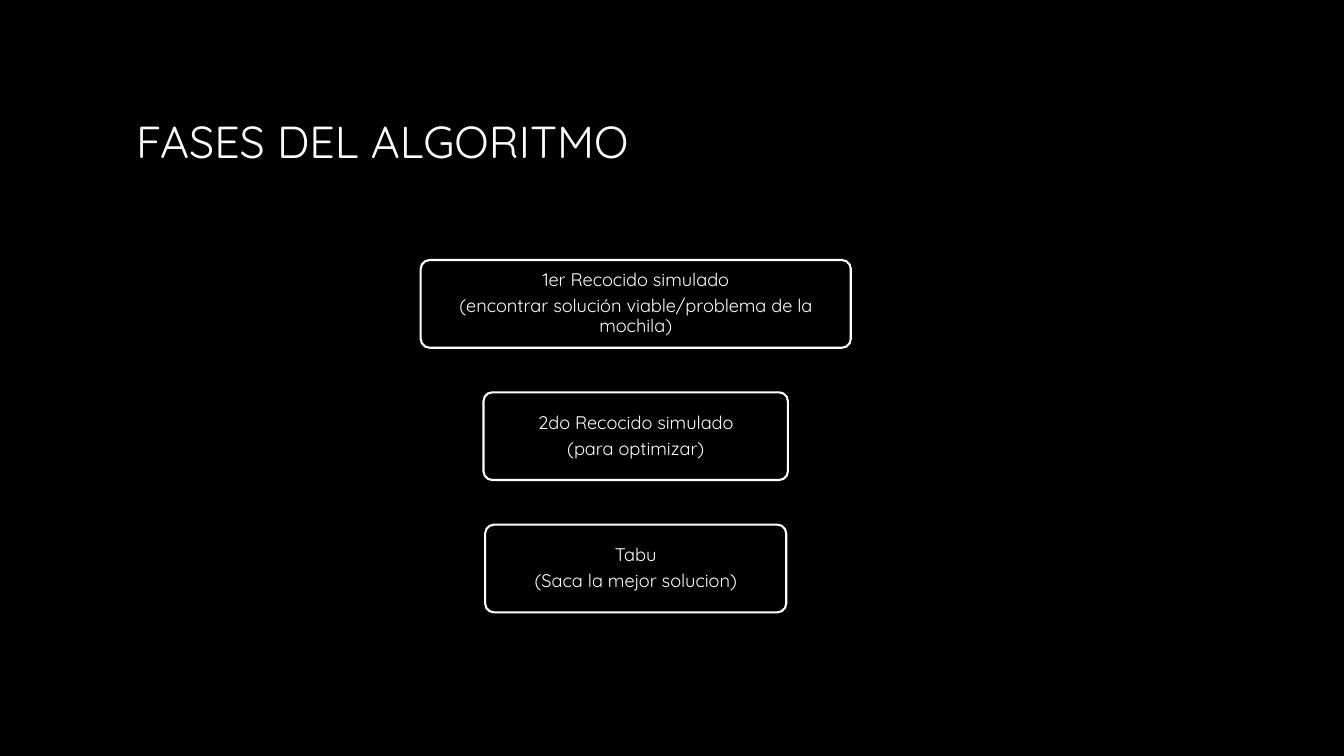
import dataclasses

import pptx
import pptx.dml.color
import pptx.enum.shapes
import pptx.enum.text
import pptx.slide
import pptx.text.text
import pptx.util

BLACK = pptx.dml.color.RGBColor(0x00, 0x00, 0x00)
WHITE = pptx.dml.color.RGBColor(0xFF, 0xFF, 0xFF)
FONT = "Quicksand"

SLIDE_WIDTH = pptx.util.Inches(13.33)
SLIDE_HEIGHT = pptx.util.Inches(7.5)

# Percentages of the slide's width or height
PHASE_CENTER = 47.3
PHASE_TOP = 34.4
PHASE_HEIGHT = 11.6
PHASE_PITCH = 17.5

PHASE_INSET = pptx.util.Inches(0.07)
PHASE_FRAME = {
    "word_wrap": True,
    "vertical_anchor": pptx.enum.text.MSO_ANCHOR.MIDDLE,
    "margin_left": PHASE_INSET,
    "margin_right": PHASE_INSET,
    "margin_top": PHASE_INSET,
    "margin_bottom": PHASE_INSET,
}
PHASE_PARAGRAPH = {
    "alignment": pptx.enum.text.PP_ALIGN.CENTER,
    "line_spacing": 0.9,
    "space_after": pptx.util.Pt(4.55),
}
TITLE_FRAME = {
    "word_wrap": True,
    "auto_size": pptx.enum.text.MSO_AUTO_SIZE.NONE,
    "vertical_anchor": pptx.enum.text.MSO_ANCHOR.MIDDLE,
}


@dataclasses.dataclass(frozen=True)
class Phase:
    name: str
    purpose: str
    width: float


PHASES = (
    Phase("1er Recocido simulado",
          "(encontrar solución viable/problema de la mochila)", 32),
    Phase("2do Recocido simulado", "(para optimizar)", 22.65),
    Phase("Tabu", "(Saca la mejor solucion)", 22.4),
)


def across(percent: float) -> int:
    return round(SLIDE_WIDTH * percent / 100)


def down(percent: float) -> int:
    return round(SLIDE_HEIGHT * percent / 100)


def apply_format(target: object, values: dict[str, object]) -> None:
    for attribute, value in values.items():
        setattr(target, attribute, value)


def format_font(font: pptx.text.text.Font, size: float) -> None:
    apply_format(font, {"name": FONT, "size": pptx.util.Pt(size)})
    font.color.rgb = WHITE


def add_title(slide: pptx.slide.Slide, heading: str) -> None:
    title = slide.shapes.title
    apply_format(title, {"left": across(9.38), "top": down(8.93),
                         "width": across(81.25), "height": down(19.33)})
    apply_format(title.text_frame, TITLE_FRAME)
    title.text_frame.text = heading
    paragraph = title.text_frame.paragraphs[0]
    paragraph.alignment = pptx.enum.text.PP_ALIGN.LEFT
    format_font(paragraph.runs[0].font, 32)


def add_phase(slide: pptx.slide.Slide, phase: Phase, row: int) -> None:
    box = slide.shapes.add_shape(
        pptx.enum.shapes.MSO_SHAPE.ROUNDED_RECTANGLE,
        across(PHASE_CENTER - phase.width / 2),
        down(PHASE_TOP + row * PHASE_PITCH),
        across(phase.width), down(PHASE_HEIGHT))
    box.adjustments[0] = 0.1
    box.shadow.inherit = False
    box.fill.solid()
    box.fill.fore_color.rgb = BLACK
    box.line.color.rgb = WHITE
    box.line.width = pptx.util.Pt(1.5)

    apply_format(box.text_frame, PHASE_FRAME)
    box.text_frame.text = f"{phase.name}\n{phase.purpose}"
    for paragraph in box.text_frame.paragraphs:
        apply_format(paragraph, PHASE_PARAGRAPH)
        format_font(paragraph.runs[0].font, 13)


def main() -> None:
    deck = pptx.Presentation()
    apply_format(deck, {"slide_width": SLIDE_WIDTH,
                        "slide_height": SLIDE_HEIGHT})
    slide = deck.slides.add_slide(deck.slide_layouts.get_by_name("Title Only"))
    slide.background.fill.solid()
    slide.background.fill.fore_color.rgb = BLACK

    add_title(slide, "FASES DEL ALGORITMO")
    for row, phase in enumerate(PHASES):
        add_phase(slide, phase, row)
    deck.save("out.pptx")


if __name__ == "__main__":
    main()
